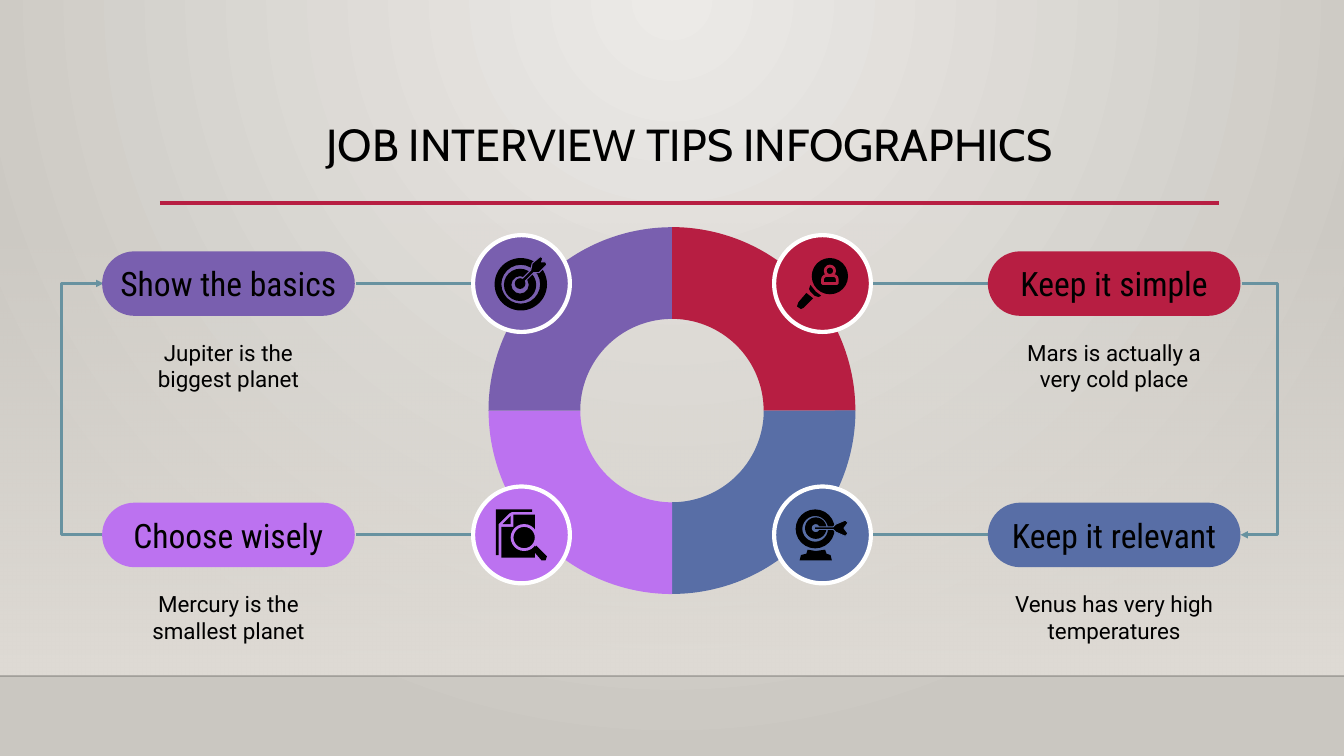
"""Build the job interview tips slide: a four-part ring with labelled tips."""
from lxml.etree import SubElement as Sub
from pptx import Presentation
from pptx.dml.color import RGBColor
from pptx.enum.shapes import MSO_CONNECTOR as Conn, MSO_SHAPE as Kind
from pptx.enum.text import MSO_ANCHOR as Anchor, PP_ALIGN as Align
from pptx.oxml.ns import qn
from pptx.util import Inches, Pt

WIDE = 10
HIGH = WIDE * 9 / 16
COLS = {"left": (0.76, 3.88), "right": (7.35, 6.12)}
ROWS = {"top": 2.11, "low": 3.98}
PILL, DISC, RING, TEAL, INK = 1.88, 0.72, 2.73, "6892A0", "000000"

TIPS = [
    ("right", "top", "B71E42", "Keep it simple", "Mars is actually a very cold place"),
    ("right", "low", "586EA6", "Keep it relevant", "Venus has very high temperatures"),
    ("left", "low", "BC72F0", "Choose wisely", "Mercury is the smallest planet"),
    ("left", "top", "795FAF", "Show the basics", "Jupiter is the biggest planet"),
]

FINDER = [
    (Kind.OVAL, (-8, -19, 27, 27), None, 0),
    (Kind.ROUND_2_SAME_RECTANGLE, (0, -6, 11, 6), 0.5, 1.5),
    (Kind.OVAL, (2, -13, 7, 7), None, 1.5),
    (None, [(-9, 1), (-10, 4), (-9, 6), (-6, 9), (-3, 10), (-1, 9), (-5, 6)], None, 0),
    (None, [(-12, 7), (-18, 14), (-19, 17), (-16, 19), (-14, 18), (-7, 11)], None, 0),
]
STAND = [
    (Kind.DONUT, (-20, -19, 29, 29), 0.17, 0),
    (Kind.DONUT, (-13, -13, 16, 16), 0.31, 0),
    (None, [(17, -11), (10, -8), (8, -6), (-6, -6), (-6, -4), (8, -4), (10, -2),
            (17, 1), (19, -1), (16, -5), (19, -9)], None, 0.5),
    (None, [(-11, 11), (-12, 14), (-16, 15), (-17, 19), (7, 19), (6, 15),
            (3, 14), (2, 11), (-5, 12)], None, 0),
]
PAGES = [
    (None, [(-19, -19), (8, -19), (8, -17), (-7, -17), (-9, -16), (-17, -8),
            (-17, 15), (-19, 15)], None, 0),
    (None, [(-8, -14), (-14, -8), (-8, -8)], None, 0),
    (None, [(-6, -15), (10, -15), (10, 17), (-15, 17), (-15, -6), (-6, -6)], None, 0),
    (Kind.OVAL, (-7, -7, 18, 18), None, 1.5),
    (None, [(11, 8), (19, 16), (18, 19), (15, 19), (8, 11)], None, 0),
]
TARGET = [
    (Kind.DONUT, (-20, -19, 39, 39), 0.13, 0),
    (Kind.DONUT, (-13, -11, 24, 24), 0.23, 0),
    (None, [(14, -20), (8, -15), (7, -10), (-1, -2), (1, 0), (9, -8), (13, -8),
            (19, -14), (18, -16), (15, -16), (16, -19)], None, 0.5),
    (Kind.OVAL, (-5, -4, 8, 8), None, 0),
]
ICONS = [FINDER, STAND, PAGES, TARGET]


def tint(hue):
    """Turn a hex string into a colour."""
    return RGBColor.from_string(hue)


def fade(node, share):
    """Give the colours inside a node an opacity in percent."""
    first = next(node.iter(qn("a:srgbClr")))
    Sub(first, qn("a:alpha"), val=str(share * 1000))


def paint(shape, fill, edge=None, width=0):
    """Set fill and outline, without a shadow."""
    shape.shadow.inherit = False
    shape.fill.solid()
    shape.fill.fore_color.rgb = tint(fill)
    if width:
        shape.line.color.rgb = tint(edge)
        shape.line.width = Pt(width)
    else:
        shape.line.fill.background()


def form(slide, kind, box, fill, edge=None, width=0, adj=()):
    """Add a preset shape."""
    shape = slide.shapes.add_shape(kind, *map(Inches, box))
    for place, value in enumerate(adj):
        shape.adjustments[place] = value
    paint(shape, fill, edge, width)
    return shape


def rule(slide, start, end, hue, width, bend=None):
    """Add a straight line, or a bent arrow if a bend is given."""
    kind = Conn.STRAIGHT if bend is None else Conn.ELBOW
    line = slide.shapes.add_connector(kind, *map(Inches, start + end))
    line.line.color.rgb = tint(hue)
    line.line.width = Pt(width)
    props = line._element.spPr
    if bend is not None:
        Sub(props.find(qn("a:ln")), qn("a:tailEnd"), type="triangle", w="sm", len="sm")
        guides = props.find(qn("a:prstGeom")).get_or_add_avLst()
        Sub(guides, qn("a:gd"), name="adj1", fmla=f"val {round(bend * 100000)}")
    Sub(props, qn("a:effectLst"))
    return line


def write(shape, text, font, size, side=0.1):
    """Put one centred paragraph in a shape."""
    frame = shape.text_frame
    frame.word_wrap = True
    frame.vertical_anchor = Anchor.MIDDLE
    frame.margin_left = frame.margin_right = Inches(side)
    frame.margin_top = frame.margin_bottom = Inches(0.1)
    frame.text = text
    para = frame.paragraphs[0]
    para.alignment = Align.CENTER
    para.font.name, para.font.size = font, Pt(size)
    para.font.color.rgb = tint(INK)
    return para


def blend(fill, hues):
    """Make a two-stop gradient."""
    fill.gradient()
    for stop, hue, place in zip(fill.gradient_stops, hues, (0, 1)):
        stop.color.rgb, stop.position = tint(hue), place


def stage(slide):
    """Lay the background glow, the wall and the floor edge."""
    blend(slide.background.fill, ("ECEAE7", "CAC7C1"))
    grad = next(slide.element.iter(qn("a:gradFill")))
    grad.remove(grad.find(qn("a:lin")))
    glow = Sub(grad, qn("a:path"), path="circle")
    Sub(glow, qn("a:fillToRect"), l="43000", t="0", r="43000", b="100000")
    wall = form(slide, Kind.RECTANGLE, (0, 1.66, WIDE, 3.37), "DFDBD5")
    blend(wall.fill, ("DFDBD5", "DFDBD5"))
    wall.fill.gradient_angle = 270
    fade(wall._element.spPr, 0)
    floor = rule(slide, (0, 5.03), (WIDE, 5.03), INK, 1)
    fade(floor._element.spPr, 20)


def head(slide):
    """Place the title and the rule under it."""
    rule(slide, (1.19, 1.51), (9.07, 1.51), "B71E42", 2.5)
    title = slide.shapes.title
    title.left, title.top, title.width, title.height = map(Inches, (1.19, 0.66, 7.88, 0.86))
    para = write(title, "JOB INTERVIEW TIPS INFOGRAPHICS", "Cabin", 24)
    para.line_spacing = 0.9


def link(slide):
    """Join discs to pills, and the pills of each side."""
    top, low = ROWS.values()
    for y in (top, low):
        rule(slide, (3.52, y), (2.65, y), TEAL, 1.5)
        rule(slide, (6.48, y), (7.35, y), TEAL, 1.5)
    rule(slide, (9.24, top), (9.23, low), TEAL, 1.5, -27)
    rule(slide, (0.76, low), (0.77, top), TEAL, 1.5, -31)


def icon(slide, parts, mid, back):
    """Draw icon parts, in hundredths of an inch from the disc's middle."""
    for kind, spots, adj, gap in parts:
        if kind is None:
            path = slide.shapes.build_freeform(*spots[0], scale=Inches(0.01))
            path.add_line_segments(spots[1:])
            paint(path.convert_to_shape(*map(Inches, mid)), INK, back, gap)
        else:
            x, y, wide, high = (spot / 100 for spot in spots)
            box = (mid[0] + x, mid[1] + y, wide, high)
            form(slide, kind, box, INK, back, gap, () if adj is None else (adj,))


def tip(slide, x, y, hue, name, text):
    """Add a pill and the note under it."""
    pill = form(slide, Kind.ROUNDED_RECTANGLE, (x, y - 0.24, PILL, 0.48), hue, adj=(0.5,))
    write(pill, name, "Roboto Condensed", 18, 0)
    note = slide.shapes.add_textbox(*map(Inches, (x + 0.08, y + 0.34, 1.72, 0.54)))
    write(note, text, "Roboto", 12)


def main():
    """Build and save the slide."""
    deck = Presentation()
    deck.slide_width, deck.slide_height = Inches(WIDE), Inches(HIGH)
    slide = deck.slides.add_slide(deck.slide_layouts[5])
    stage(slide)
    head(slide)
    link(slide)
    ring = ((WIDE - RING) / 2, 1.69, RING, RING)
    for turn, (_, _, hue, _, _) in enumerate(TIPS):
        arc = form(slide, Kind.BLOCK_ARC, ring, hue, adj=(162, 0, 0.25))
        arc.rotation = 90 * turn
    for (col, row, hue, name, text), parts in zip(TIPS, ICONS):
        (x, mid), y = COLS[col], ROWS[row]
        disc = (mid - DISC / 2, y - DISC / 2, DISC, DISC)
        form(slide, Kind.OVAL, disc, hue, "FFFFFF", 2.25)
        icon(slide, parts, (mid, y), hue)
        tip(slide, x, y, hue, name, text)
    deck.save("out.pptx")


if __name__ == "__main__":
    main()
